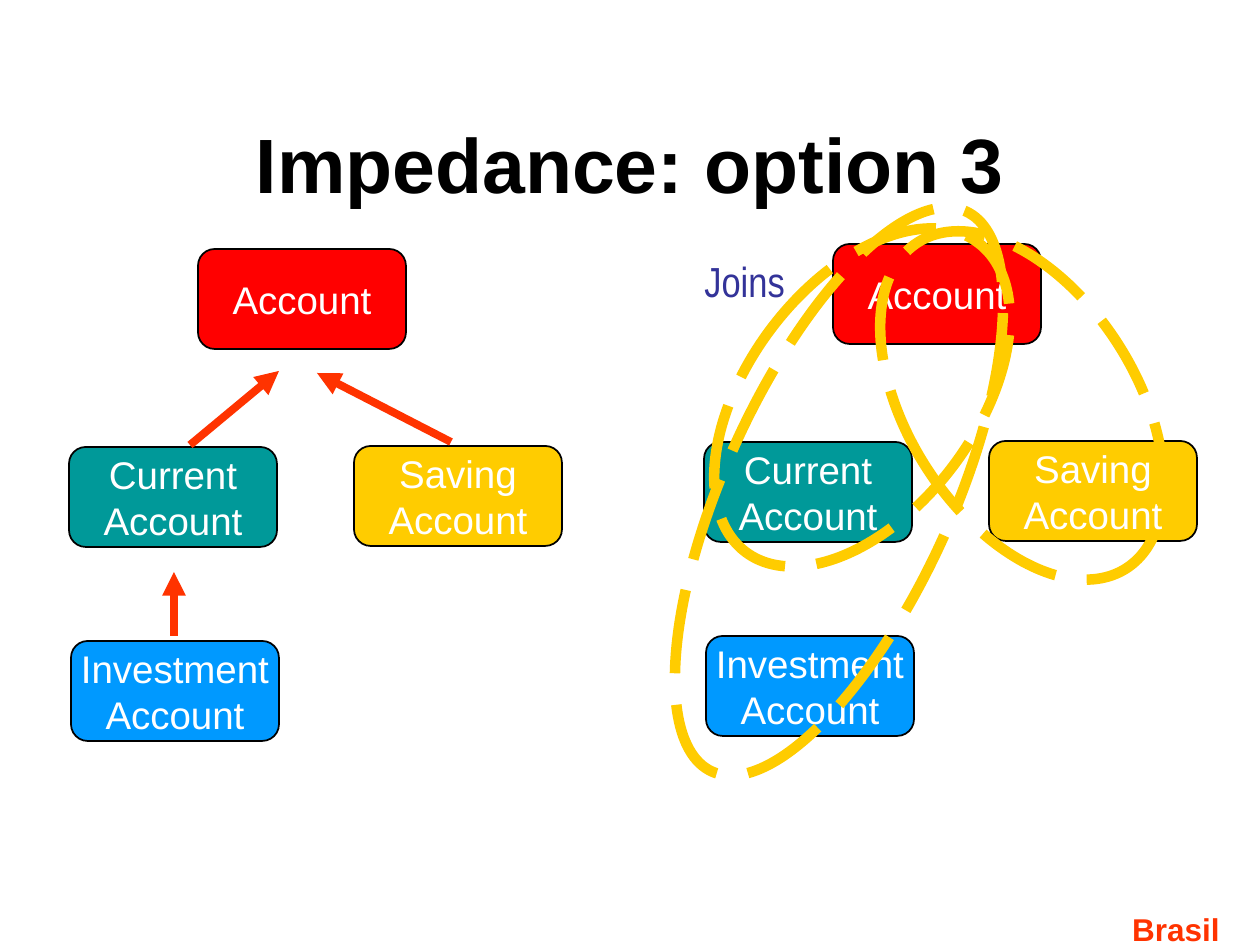
from dataclasses import dataclass

from lxml import etree
from pptx import Presentation
from pptx.dml.color import RGBColor
from pptx.enum import dml, shapes, text
from pptx.oxml import ns
from pptx.util import Pt

PX = 914400 / 126  # EMU per pixel


@dataclass(frozen=True)
class Theme:
    font: str = "Arial"
    narrow_font: str = "Arial Narrow"
    title_size: int = 44
    box_size: int = 22
    note_size: int = 24
    footer_size: int = 18
    black: str = "000000"
    white: str = "FFFFFF"
    red: str = "FF0000"
    teal: str = "009999"
    blue: str = "0099FF"
    yellow: str = "FFCC00"
    orange: str = "FF3300"
    indigo: str = "333399"


THEME = Theme()

# Class boxes of one hierarchy: words, left, top, colour
BOX_SIZE = (208, 100)
CLASSES = [
    ("Account", 198, 249, THEME.red),
    ("Current\nAccount", 69, 447, THEME.teal),
    ("Investment\nAccount", 71, 641, THEME.blue),
    ("Saving\nAccount", 354, 446, THEME.yellow),
]
JOINED_OFFSET = (635, -5)

# Inheritance arrows: start x, y, end x, y
ARROWS = [
    (190, 445, 279, 371),
    (451, 442, 317, 373),
    (174, 636, 174, 572),
]

# Join loops: left, top, width, height, rotation
LOOPS = [
    (748, 204, 228, 387, 37),
    (908, 212, 228, 387, 327.4),
    (725, 184, 228, 615, 24.4),
]


def emu(*lengths):
    return [round(length * PX) for length in lengths]


def rgb(code):
    return RGBColor.from_string(code)


def style_text(frame, words, size, color, font=THEME.font, bold=False):
    frame.text = words
    for para in frame.paragraphs:
        para.alignment = text.PP_ALIGN.CENTER
        para.font.name = font
        para.font.size = Pt(size)
        para.font.bold = bold
        para.font.color.rgb = rgb(color)


def set_line(line, color, width):
    line.color.rgb = rgb(color)
    line.width = Pt(width)


def add_title(page, words):
    title = page.shapes.title
    title.left, title.top, title.width, title.height = emu(95, 84, 1071, 158)
    frame = title.text_frame
    frame.vertical_anchor = text.MSO_ANCHOR.MIDDLE
    style_text(frame, words, THEME.title_size, THEME.black, bold=True)


def add_label(page, words, place, size, color, spacing, wrap, **font):
    frame = page.shapes.add_textbox(*emu(*place)).text_frame
    frame.word_wrap = wrap
    frame.auto_size = text.MSO_AUTO_SIZE.SHAPE_TO_FIT_TEXT
    style_text(frame, words, size, color, **font)
    para = frame.paragraphs[0]
    para.line_spacing = 1.5
    para.space_before = para.space_after = Pt(spacing)


def add_class_box(group, words, left, top, color):
    box = group.shapes.add_shape(
        shapes.MSO_SHAPE.ROUNDED_RECTANGLE, *emu(left, top, *BOX_SIZE))
    box.shadow.inherit = False
    box.fill.solid()
    box.fill.fore_color.rgb = rgb(color)
    set_line(box.line, THEME.black, 1)
    frame = box.text_frame
    frame.word_wrap = False
    frame.vertical_anchor = text.MSO_ANCHOR.MIDDLE
    style_text(frame, words, THEME.box_size, THEME.white)


def add_arrow(group, ends):
    arrow = group.shapes.add_connector(
        shapes.MSO_CONNECTOR.STRAIGHT, *emu(*ends))
    set_line(arrow.line, THEME.orange, 4.5)
    properties = arrow.element.spPr
    etree.SubElement(properties.find(ns.qn("a:ln")), ns.qn("a:tailEnd"),
                     type="triangle")
    etree.SubElement(properties, ns.qn("a:effectLst"))


def add_hierarchy(page, offset=(0, 0), arrows=()):
    group = page.shapes.add_group_shape()
    for words, left, top, color in CLASSES:
        add_class_box(group, words, left + offset[0], top + offset[1], color)
    for ends in arrows:
        add_arrow(group, ends)


def add_loop(page, left, top, width, height, rotation):
    loop = page.shapes.add_shape(
        shapes.MSO_SHAPE.OVAL, *emu(left, top, width, height))
    loop.rotation = rotation
    loop.shadow.inherit = False
    loop.fill.background()
    set_line(loop.line, THEME.yellow, 6)
    loop.line.dash_style = dml.MSO_LINE.LONG_DASH


def main():
    deck = Presentation()
    deck.slide_width, deck.slide_height = emu(1260, 945)
    page = deck.slides.add_slide(deck.slide_layouts[5])

    # Footer, with room to spare around its word, and title
    add_label(page, "Brasil", (1112, 885, 128, 69), THEME.footer_size,
              THEME.orange, spacing=11.2, wrap=False, bold=True)
    add_title(page, "Impedance: option 3")

    # Inheritance on the left, the same classes as tables on the right
    add_hierarchy(page, arrows=ARROWS)
    add_hierarchy(page, offset=JOINED_OFFSET)

    # Joins between the tables
    for loop in LOOPS:
        add_loop(page, *loop)
    add_label(page, "Joins", (665, 224, 159, 88), THEME.note_size,
              THEME.indigo, spacing=15, wrap=True, font=THEME.narrow_font)

    deck.save("out.pptx")


if __name__ == "__main__":
    main()
